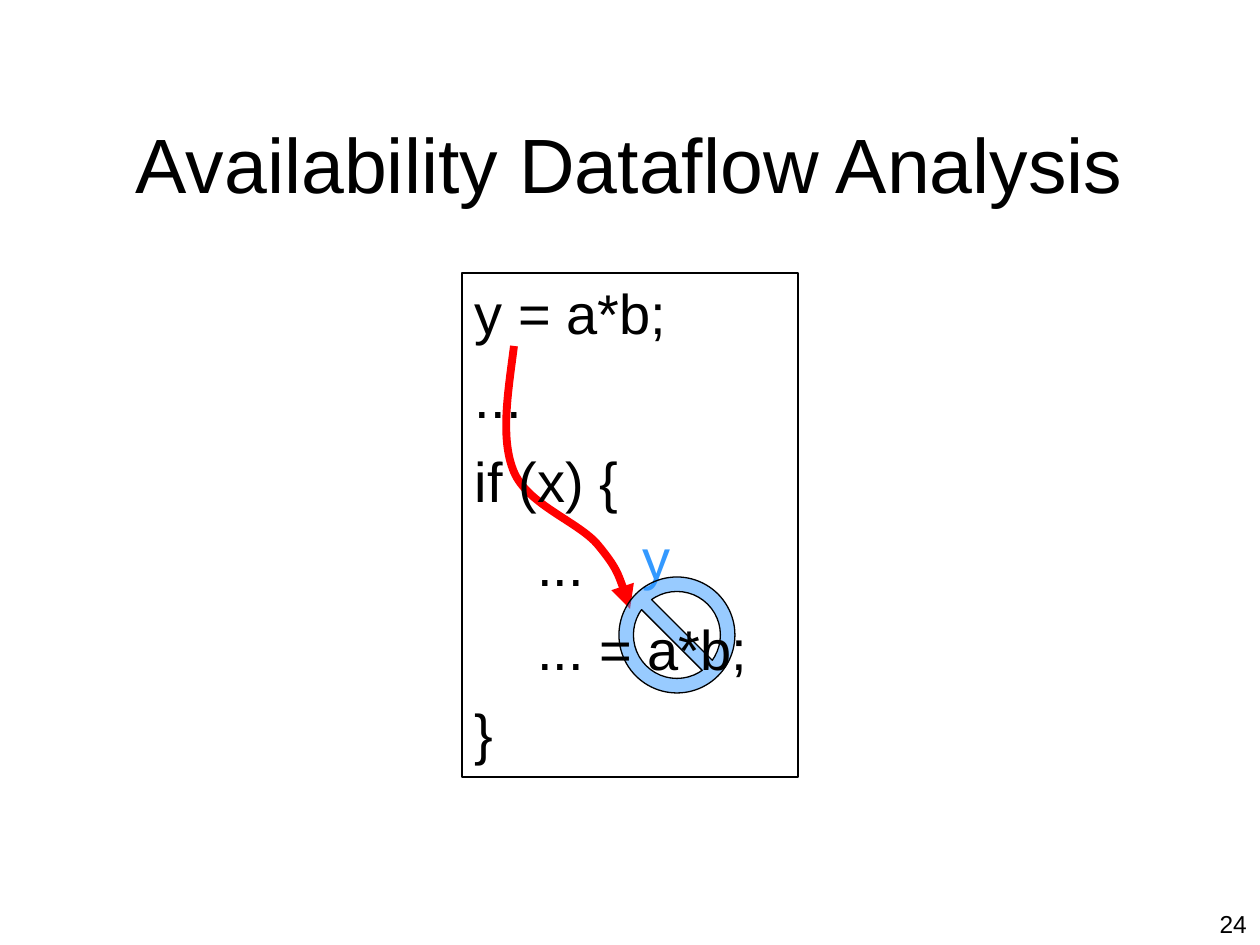
from dataclasses import dataclass

from lxml import etree
from pptx import Presentation
from pptx.dml.color import RGBColor
from pptx.enum.shapes import MSO_SHAPE
from pptx.enum.text import MSO_ANCHOR, MSO_AUTO_SIZE, PP_ALIGN
from pptx.oxml.ns import qn
from pptx.util import Emu, Pt

LEFT, CENTER, RIGHT = PP_ALIGN.LEFT, PP_ALIGN.CENTER, PP_ALIGN.RIGHT
TOP, MIDDLE = MSO_ANCHOR.TOP, MSO_ANCHOR.MIDDLE
NO_FIT = MSO_AUTO_SIZE.NONE
RECTANGLE, NO_SYMBOL = MSO_SHAPE.RECTANGLE, MSO_SHAPE.NO_SYMBOL
PX_PER_INCH = 126
SCALE = 914400 / PX_PER_INCH


@dataclass(frozen=True)
class Theme:
    font: str = "Arial"
    ink: RGBColor = RGBColor(0, 0, 0)
    accent: RGBColor = RGBColor(0x33, 0x99, 0xFF)
    flow: RGBColor = RGBColor(0xFF, 0, 0)
    title_size: int = 44
    code_size: int = 32
    number_size: int = 14
    outline: float = 0.75
    flow_width: float = 4.5
    code_gap: float = 9.5


THEME = Theme()
CODE = ["y = a*b;", "...", "if (x) {", "    ...", "    ... = a*b;", "}"]


def px(length):
    return Emu(round(length * SCALE))


def place(shape, box):
    shape.left, shape.top, shape.width, shape.height = map(px, box)


def write(shape, lines, size, color, align=LEFT, anchor=TOP, hanging=0, spacing=None):
    frame = shape.text_frame
    frame.auto_size = NO_FIT
    frame.word_wrap = True
    frame.vertical_anchor = anchor
    frame.margin_left = frame.margin_right = px(13)
    frame.margin_top = frame.margin_bottom = px(6)
    for index, line in enumerate(lines):
        paragraph = frame.add_paragraph() if index else frame.paragraphs[0]
        paragraph.alignment = align
        paragraph.space_before = Pt(THEME.code_gap if index else 0)
        if spacing:
            paragraph.line_spacing = spacing
        properties = paragraph._p.get_or_add_pPr()
        properties.set("marL", str(px(hanging)))
        properties.set("indent", str(-px(hanging)))
        etree.SubElement(properties, qn("a:buNone"))
        run = paragraph.add_run()
        run.text = line
        run.font.name = THEME.font
        run.font.size = Pt(size)
        run.font.color.rgb = color


def outline(shape, color, width):
    shape.shadow.inherit = False
    shape.line.color.rgb = color
    shape.line.width = Pt(width)


def add_title(slide, box):
    title = slide.shapes.title
    place(title, box)
    write(title, ["Availability Dataflow Analysis"], THEME.title_size, THEME.ink, CENTER, MIDDLE)


def add_replacement(slide, box):
    replacement = slide.placeholders[1]
    place(replacement, box)
    write(replacement, ["y"], THEME.code_size, THEME.accent, hanging=48, spacing=0.9)


def add_flow(slide, box):
    left, top, width, height = box
    start = (left + 14, top)
    bends = [
        (left + 8, top + 47), (left, top + 93), (left + 14, top + 126),
        (left + 28, top + 159), (left + 79, top + 176), (left + 98, top + 199),
        (left + 117, top + 222), (left + 124, top + 242), (left + width, top + height),
    ]
    builder = slide.shapes.build_freeform(*start, scale=SCALE)
    builder.add_line_segments(bends, close=False)
    flow = builder.convert_to_shape()
    flow.fill.background()
    outline(flow, THEME.flow, THEME.flow_width)
    etree.SubElement(flow.line._get_or_add_ln(), qn("a:tailEnd"), type="triangle")

    segments = list(flow._element.iter(qn("a:lnTo")))
    path_element = segments[0].getparent()
    for first in range(0, len(segments), 3):
        curve = etree.SubElement(path_element, qn("a:cubicBezTo"))
        for segment in segments[first:first + 3]:
            curve.append(segment[0])
            path_element.remove(segment)


def add_elimination(slide, box):
    elimination = slide.shapes.add_shape(NO_SYMBOL, *map(px, box))
    elimination.adjustments[0] = 0.125
    elimination.fill.solid()
    elimination.fill.fore_color.rgb = THEME.accent
    fill_color = elimination._element.spPr.find(qn("a:solidFill"))[0]
    etree.SubElement(fill_color, qn("a:alpha"), val="50000")
    outline(elimination, THEME.ink, THEME.outline)


def add_code(slide, box):
    code = slide.shapes.add_shape(RECTANGLE, *map(px, box))
    code.fill.background()
    outline(code, THEME.ink, THEME.outline)
    write(code, CODE, THEME.code_size, THEME.ink, hanging=48)


def add_example(slide, box):
    left, top, width, height = box
    add_replacement(slide, (left + 168, top + 252, 63, 73))
    add_flow(slide, (left + 38, top + 73, 130, 263))
    add_elimination(slide, (left + 157, top + 304, 116, 116))
    add_code(slide, box)


def add_number(slide, box):
    number = slide.shapes.add_textbox(*map(px, box))
    write(number, ["24"], THEME.number_size, THEME.ink, RIGHT)


def main():
    deck = Presentation()
    deck.slide_width, deck.slide_height = px(1260), px(945)
    slide = deck.slides.add_slide(deck.slide_layouts[1])
    add_title(slide, (94, 84, 1072, 158))
    add_example(slide, (462, 273, 336, 504))
    add_number(slide, (1197, 903, 63, 42))
    deck.save("out.pptx")


if __name__ == "__main__":
    main()
